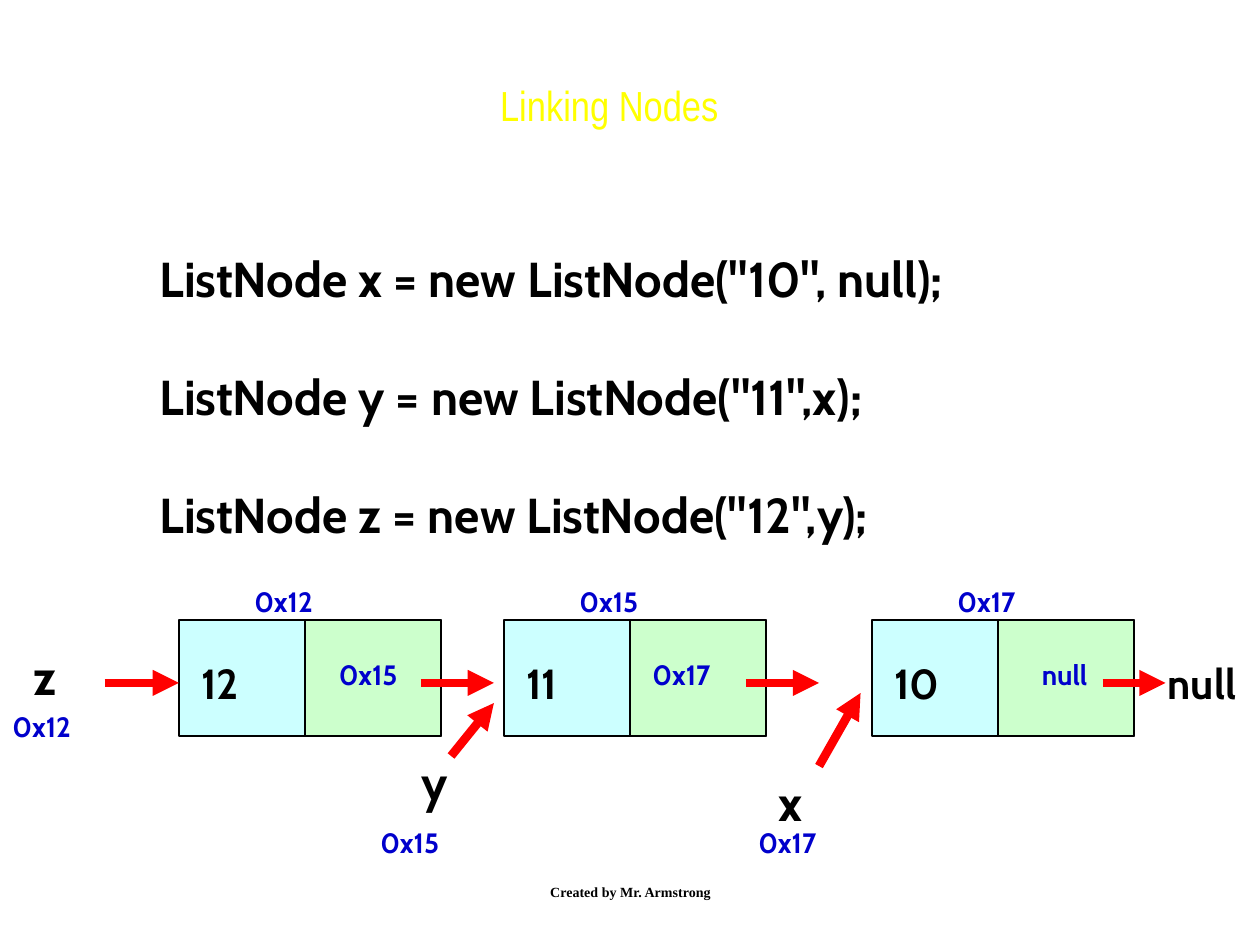
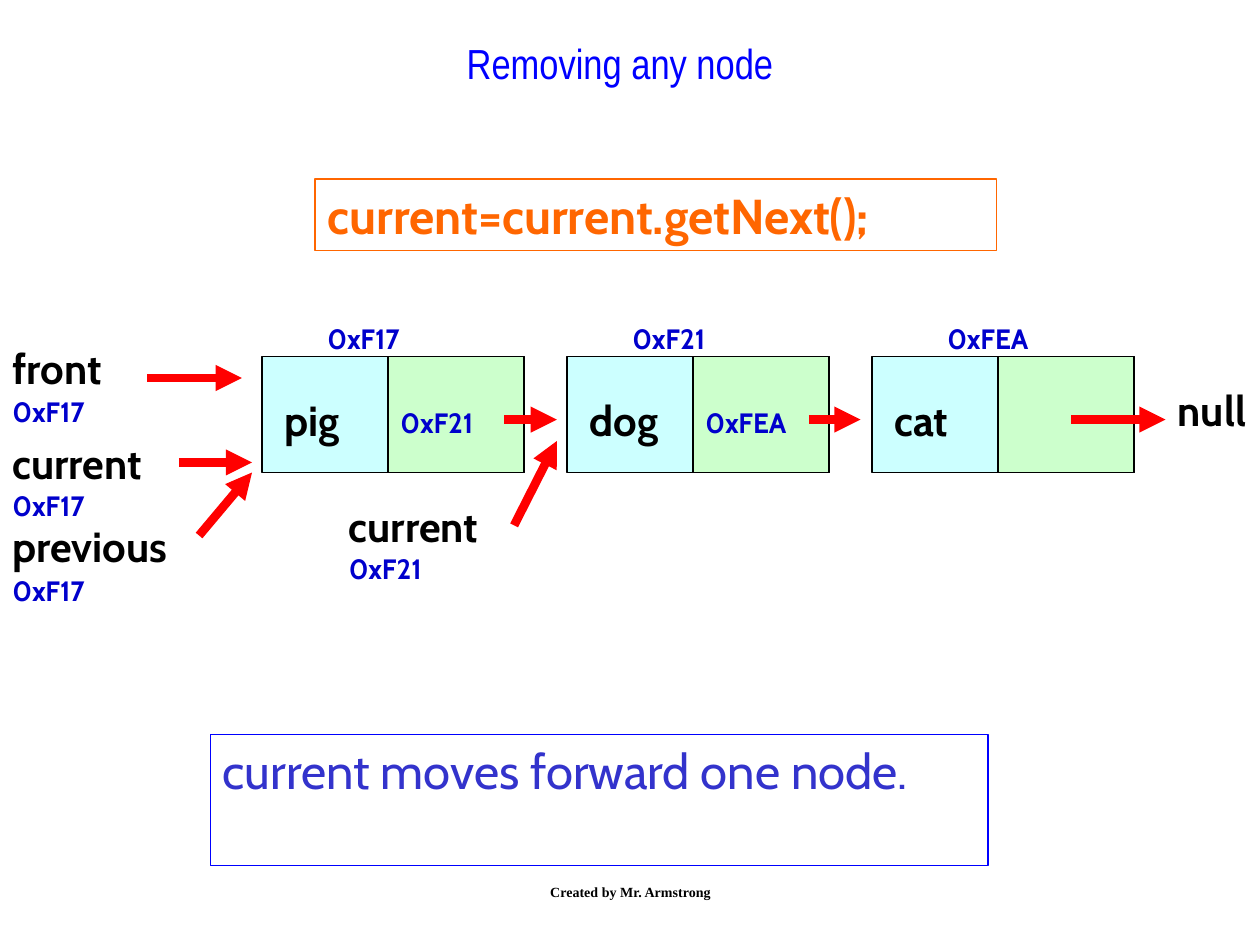
from dataclasses import dataclass
from typing import Optional

from lxml.etree import SubElement
from pptx import Presentation
from pptx.dml.color import RGBColor
from pptx.enum.shapes import MSO_CONNECTOR, MSO_SHAPE
from pptx.enum.text import MSO_ANCHOR, MSO_AUTO_SIZE, PP_ALIGN
from pptx.oxml.ns import qn
from pptx.util import Inches, Pt

COLORS = {
    "black": "000000",
    "blue": "0000FF",
    "address": "0000CC",
    "note": "3333CC",
    "orange": "FF6600",
    "yellow": "FFFF00",
    "arrow": "FF0000",
    "value": "CCFFFF",
    "next": "CCFFCC",
}
NODE_WIDTH, NODE_HEIGHT, VALUE_WIDTH = 2.08, 0.92, 1.0
ADDRESS_SIZE = (1.08, 0.37)


@dataclass
class Node:
    """A list node; shifts and the arrow start are measured from its left."""
    left: float
    value: str
    address: str
    address_shift: float
    next_text: Optional[str]
    next_shift: float
    arrow_start: float
    arrow_end: float


@dataclass
class Pointer:
    """A variable with its address and the arrow to its node."""
    name: str
    place: tuple[float, float, float, float]
    address: str
    address_at: tuple[float, float]
    start: tuple[float, float]
    end: tuple[float, float]


def color(name: str) -> RGBColor:
    return RGBColor.from_string(COLORS[name])


def write(frame, text: str, *, size: float, font: str = "Cabin", ink: str = "black",
          bold: bool = True, align=PP_ALIGN.LEFT, anchor=MSO_ANCHOR.TOP,
          gap: float = 0) -> None:
    """Fill a text frame, one paragraph for each line of text."""
    frame.word_wrap = True
    frame.auto_size = MSO_AUTO_SIZE.NONE
    frame.vertical_anchor = anchor
    for index, line in enumerate(text.split("\n")):
        para = frame.add_paragraph() if index else frame.paragraphs[0]
        para.alignment = align
        if index:
            para.space_before = Pt(gap)
        span = para.add_run()
        span.text = line
        span.font.name = font
        span.font.size = Pt(size)
        span.font.bold = bold
        span.font.color.rgb = color(ink)


def add_text(page, text: str, left: float, top: float, width: float, height: float,
             **style) -> None:
    box = page.shapes.add_textbox(*map(Inches, (left, top, width, height)))
    write(box.text_frame, text, **style)


def add_address(page, text: str, left: float, top: float) -> None:
    add_text(page, text, left, top, *ADDRESS_SIZE, size=16, ink="address")


def add_box(page, left: float, top: float, width: float, height: float, *,
            fill: Optional[str] = None, line: str = "black", weight: float = 1):
    box = page.shapes.add_shape(MSO_SHAPE.RECTANGLE,
                                *map(Inches, (left, top, width, height)))
    box.shadow.inherit = False
    if fill:
        box.fill.solid()
        box.fill.fore_color.rgb = color(fill)
    else:
        box.fill.background()
    box.line.color.rgb = color(line)
    box.line.width = Pt(weight)
    return box


def add_arrow(page, start: tuple[float, float], end: tuple[float, float]) -> None:
    arrow = page.shapes.add_connector(MSO_CONNECTOR.STRAIGHT, *map(Inches, start + end))
    arrow.line.color.rgb = color("arrow")
    arrow.line.width = Pt(5)
    SubElement(arrow.line._get_or_add_ln(), qn("a:tailEnd"), type="triangle")
    SubElement(arrow._element.spPr, qn("a:effectLst"))


def add_nodes(page, nodes: list[Node], top: float, next_drop: float) -> None:
    for node in nodes:
        left = node.left
        add_box(page, left, top, NODE_WIDTH, NODE_HEIGHT, fill="value")
        add_box(page, left + VALUE_WIDTH, top, NODE_WIDTH - VALUE_WIDTH, NODE_HEIGHT,
                fill="next")
        add_text(page, node.value, left + 0.08, top + 0.25, 0.92, 0.5, size=24)
        add_address(page, node.address, left + node.address_shift, top - 0.33)
        if node.next_text:
            add_address(page, node.next_text, left + node.next_shift, top + next_drop)
        add_arrow(page, (left + node.arrow_start, top + 0.5), (node.arrow_end, top + 0.5))


def add_pointers(page, pointers: list[Pointer], size: float) -> None:
    for pointer in pointers:
        add_text(page, pointer.name, *pointer.place, size=size)
        add_address(page, pointer.address, *pointer.address_at)
        add_arrow(page, pointer.start, pointer.end)


def add_page(deck, title: str, place: tuple[float, float, float, float], ink: str):
    """Start a slide with its title and the shared footer."""
    page = deck.slides.add_slide(deck.slide_layouts[5])
    box = page.shapes.title
    box.left, box.top, box.width, box.height = map(Inches, place)
    write(box.text_frame, title, size=24, font="Arial Narrow", ink=ink, bold=False,
          align=PP_ALIGN.CENTER)
    add_text(page, "Created by Mr. Armstrong", 3.42, 6.83, 3.17, 0.5, size=8,
             font="Times New Roman", align=PP_ALIGN.CENTER, anchor=MSO_ANCHOR.MIDDLE)
    return page


def build_linking(deck) -> None:
    page = add_page(deck, "Linking Nodes", (0.92, 0.58, 7.83, 0.92), "yellow")
    code = "\n".join((
        'ListNode x = new ListNode("10", null);',
        'ListNode y = new ListNode("11",x);',
        'ListNode z = new ListNode("12",y);',
    ))
    add_text(page, code, 1.17, 1.92, 7.47, 2.44, size=28, gap=34)
    add_nodes(page, [
        Node(1.42, "12", "0x12", 0.5, "0x15", 1.17, 1.92, 3.92),
        Node(4, "11", "0x15", 0.5, "0x17", 1.08, 1.92, 6.5),
        Node(6.92, "10", "0x17", 0.58, "null", 1.25, 1.83, 9.25),
    ], top=4.92, next_drop=0.25)
    add_text(page, "null", 9.17, 5.17, 1.08, 0.5, size=24)
    add_pointers(page, [
        Pointer("z", (0.17, 5.08, 1.58, 0.57), "0x12", (0, 5.58), (0.83, 5.42), (1.42, 5.42)),
        Pointer("y", (3.25, 5.92, 1.58, 0.57), "0x15", (2.92, 6.5), (3.58, 6), (3.92, 5.58)),
        Pointer("x", (6.08, 6.08, 1.58, 0.57), "0x17", (5.92, 6.5), (6.5, 6.08), (6.83, 5.5)),
    ], size=28)


def build_removing(deck) -> None:
    page = add_page(deck, "Removing any node", (2.67, 0.25, 4.5, 0.58), "blue")
    # Statement and its explanation
    statement = add_box(page, 2.5, 1.42, 5.41, 0.57, line="orange", weight=0.75)
    write(statement.text_frame, "current=current.getNext();", size=28, ink="orange")
    note = add_box(page, 1.67, 5.83, 6.17, 1.04, line="blue")
    write(note.text_frame, "current moves forward one node.", size=28, ink="note",
          bold=False)
    # List and variables
    add_nodes(page, [
        Node(2.08, "pig", "0xF17", 0.42, "0xF21", 1, 1.92, 4.42),
        Node(4.5, "dog", "0xF21", 0.42, "0xFEA", 1, 1.92, 6.83),
        Node(6.92, "cat", "0xFEA", 0.5, None, 1, 1.58, 9.25),
    ], top=2.83, next_drop=0.34)
    add_text(page, "null", 9.25, 3, 1.08, 0.5, size=24)
    add_pointers(page, [
        Pointer("front", (0, 2.67, 1.17, 0.5), "0xF17", (0, 3.08), (1.17, 3), (1.92, 3)),
        Pointer("current", (0, 3.42, 1.5, 0.5), "0xF17", (0, 3.83), (1.42, 3.67), (2, 3.67)),
        Pointer("previous", (0, 4.08, 1.75, 0.5), "0xF17", (0, 4.5), (1.58, 4.25), (2, 3.75)),
        Pointer("current", (2.67, 3.92, 1.5, 0.5), "0xF21", (2.67, 4.33),
                (4.08, 4.17), (4.42, 3.5)),
    ], size=24)


def main() -> None:
    deck = Presentation()
    deck.slide_width, deck.slide_height = Inches(10), Inches(7.5)
    build_linking(deck)
    build_removing(deck)
    deck.save("out.pptx")


if __name__ == "__main__":
    main()
